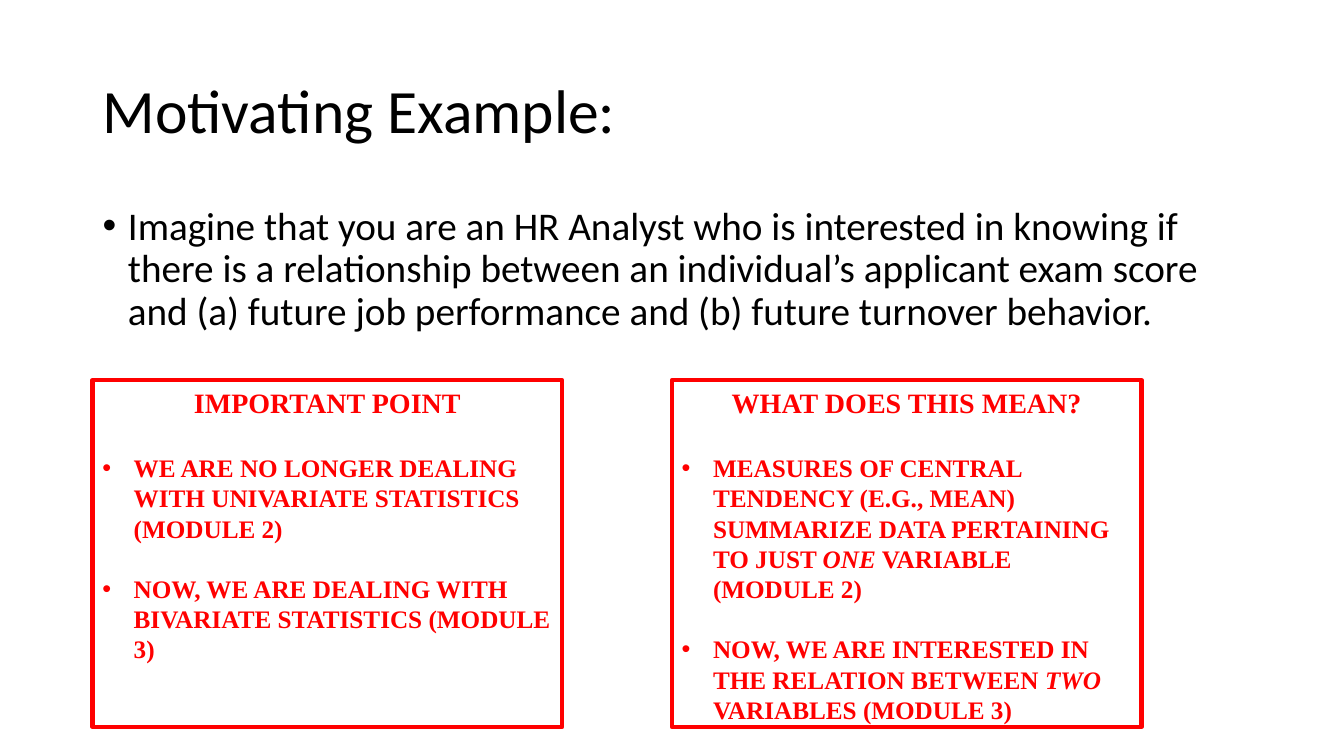
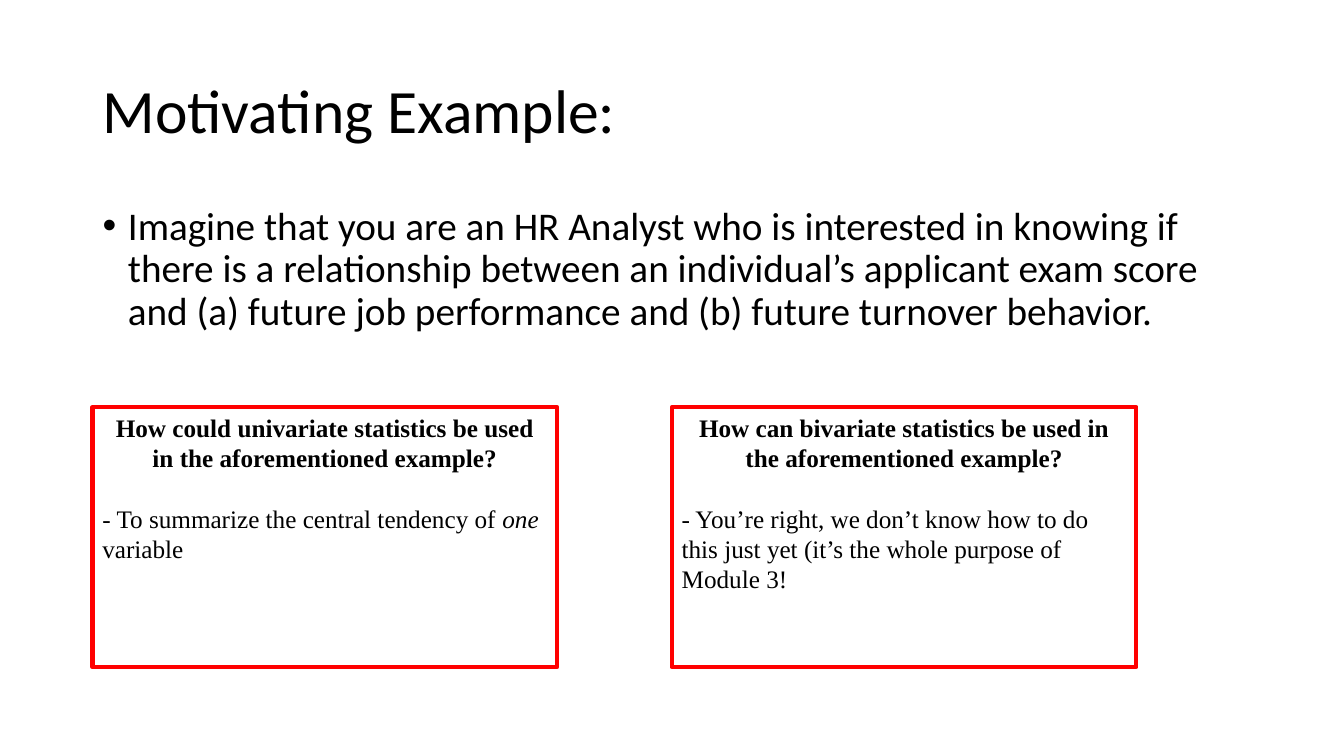
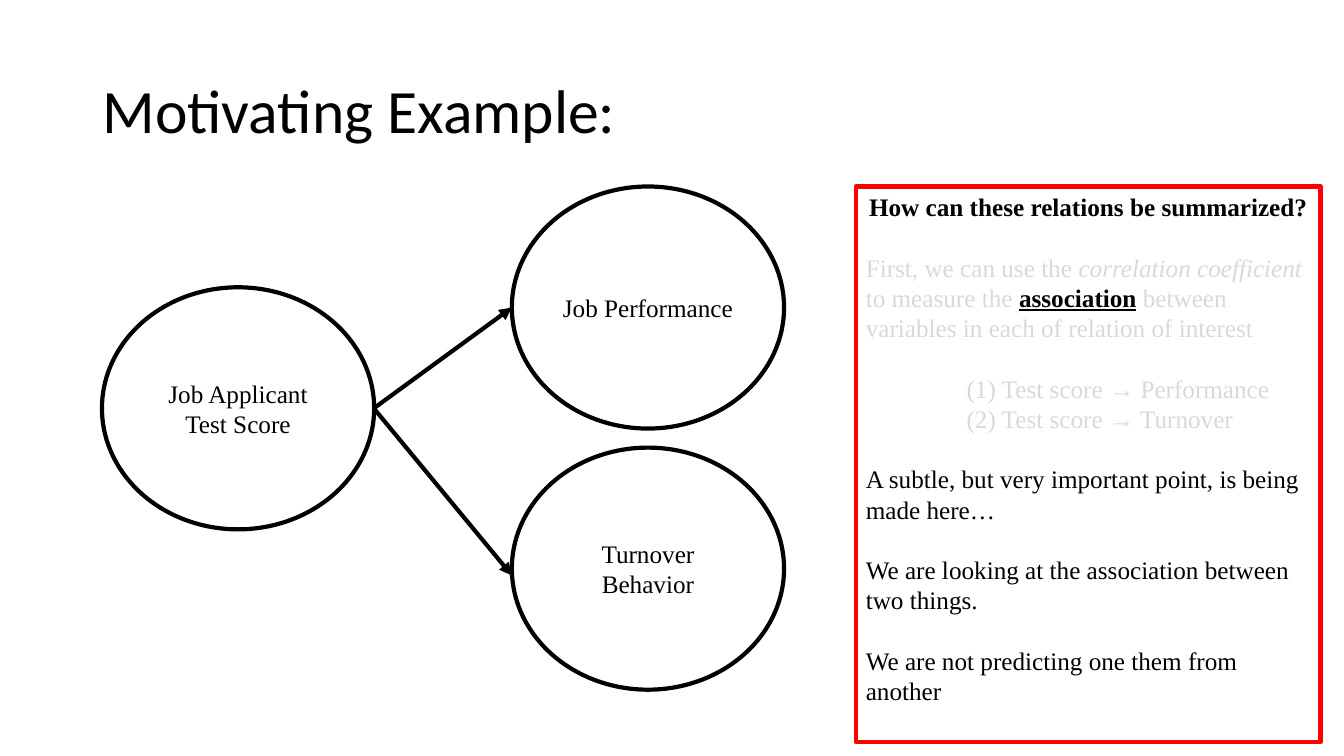
from dataclasses import dataclass

from lxml.etree import SubElement
from pptx import Presentation
from pptx.dml.color import RGBColor
from pptx.enum.shapes import MSO_CONNECTOR, MSO_SHAPE
from pptx.enum.text import MSO_ANCHOR as Anchor, MSO_AUTO_SIZE as AutoSize, PP_ALIGN as Align
from pptx.oxml.ns import qn
from pptx.util import Cm, Pt


@dataclass(frozen=True)
class Theme:
    """Colours, fonts and type sizes shared by all slides."""
    ink: RGBColor = RGBColor(0, 0, 0)
    alert: RGBColor = RGBColor(0xFF, 0, 0)
    muted: RGBColor = RGBColor(0xD9, 0xD9, 0xD9)
    heading_font: str = "Calibri"
    note_font: str = "Times New Roman"
    title_size: int = 44
    body_size: int = 28
    banner_size: int = 20
    note_size: int = 18
    outline: int = 3


THEME = Theme()


@dataclass(frozen=True)
class Span:
    """A stretch of text that differs from its paragraph."""
    text: str
    italic: bool = False
    strong: bool = False


@dataclass(frozen=True)
class Line:
    """One paragraph of a note box: strings and spans, with its format."""
    spans: tuple
    size: int = THEME.note_size
    color: RGBColor = THEME.ink
    bold: bool = False
    centred: bool = False
    bullet: bool = False
    gap: float = 0
    indent: float = 0


LINE_GAP = 21.6
BANNER_GAP = 24
LEFT_NOTE, RIGHT_NOTE = 2.33, 16.93
NOTE_WIDTH = 11.71
TITLE = "Motivating Example:"
SCENARIO = ("Imagine that you are an HR Analyst who is interested in knowing if there is a "
            "relationship between an individual’s applicant exam score and (a) future job "
            "performance and (b) future turnover behavior.")


def set_font(font, name, size, color, bold=False):
    """Set the typeface, size, colour and weight of a font."""
    font.name, font.size, font.bold = name, Pt(size), bold
    font.color.rgb = color


def set_indent(paragraph, left, first):
    """Set the left margin and first-line indent in centimetres."""
    properties = paragraph._p.get_or_add_pPr()
    properties.set("marL", str(Cm(left)))
    properties.set("indent", str(Cm(first)))
    return properties


def add_bullet(paragraph):
    """Give a paragraph a round bullet with a hanging indent."""
    properties = set_indent(paragraph, 0.79, -0.79)
    SubElement(properties, qn("a:buFont")).set("typeface", "Arial")
    SubElement(properties, qn("a:buChar")).set("char", "•")


def place(shape, left, top, width, height):
    """Move and size a shape in centimetres."""
    shape.left, shape.top = Cm(left), Cm(top)
    shape.width, shape.height = Cm(width), Cm(height)


def fill_placeholder(placeholder, text, size, box):
    """Write and format one paragraph in a template placeholder."""
    place(placeholder, *box)
    frame = placeholder.text_frame
    frame.text = text
    frame.auto_size = AutoSize.NONE
    paragraph = frame.paragraphs[0]
    paragraph.alignment = Align.LEFT
    paragraph.line_spacing = 0.9
    set_font(paragraph.font, THEME.heading_font, size, THEME.ink)
    return paragraph


def add_titled_slide(deck, layout_index):
    """Add a slide with the shared title."""
    slide = deck.slides.add_slide(deck.slide_layouts[layout_index])
    fill_placeholder(slide.shapes.title, TITLE, THEME.title_size, (2.33, 1.01, 29.21, 3.68))
    return slide


def add_scenario_slide(deck):
    """Add a titled slide with the scenario as its list."""
    slide = add_titled_slide(deck, 1)
    scenario = fill_placeholder(slide.placeholders[1], SCENARIO, THEME.body_size,
                                (2.33, 5.08, 29.21, 12.09))
    scenario.space_before = Pt(10)
    set_indent(scenario, 0.64, -0.64)
    return slide


def add_outline(slide, preset, color, box):
    """Add an unfilled outlined shape and return it."""
    left, top, width, height = map(Cm, box)
    shape = slide.shapes.add_shape(preset, left, top, width, height)
    shape.shadow.inherit = False
    shape.fill.background()
    shape.line.color.rgb = color
    shape.line.width = Pt(THEME.outline)
    shape.text_frame.word_wrap = True
    return shape


def write_line(paragraph, line):
    """Write a line's runs and format its paragraph."""
    paragraph.alignment = Align.CENTER if line.centred else Align.LEFT
    if line.bullet:
        add_bullet(paragraph)
    elif line.indent:
        set_indent(paragraph, line.indent, 0)
    paragraph.space_before = Pt(line.gap)
    set_font(paragraph.font, THEME.note_font, line.size, line.color, line.bold)
    for span in line.spans:
        run = paragraph.add_run()
        if isinstance(span, str):
            run.text = span
            continue
        run.text = span.text
        if span.italic:
            run.font.italic = True
        if span.strong:
            run.font.bold = run.font.underline = True
            run.font.color.rgb = THEME.ink


def add_note(slide, box, lines):
    """Add a red-framed note box holding the given lines."""
    frame = add_outline(slide, MSO_SHAPE.RECTANGLE, THEME.alert, box).text_frame
    frame.vertical_anchor = Anchor.TOP
    for index, line in enumerate(lines):
        write_line(frame.paragraphs[0] if index == 0 else frame.add_paragraph(), line)


def add_variable(slide, label, left, top):
    """Add an ellipse that names one variable."""
    ellipse = add_outline(slide, MSO_SHAPE.OVAL, THEME.ink, (left, top, 6.86, 6.1))
    ellipse.text_frame.vertical_anchor = Anchor.MIDDLE
    write_line(ellipse.text_frame.paragraphs[0], Line((label,), centred=True))


def add_arrow(slide, start, end):
    """Add a black arrow between two points in centimetres."""
    arrow = slide.shapes.add_connector(MSO_CONNECTOR.STRAIGHT, *map(Cm, start + end))
    arrow.line.color.rgb = THEME.ink
    arrow.line.width = Pt(THEME.outline)
    SubElement(arrow.line._get_or_add_ln(), qn("a:tailEnd")).set("type", "triangle")
    SubElement(arrow._element.spPr, qn("a:effectLst"))


def banner(text):
    """Return a red heading line."""
    return Line((text,), THEME.banner_size, THEME.alert, bold=True, centred=True)


def point(*spans, gap=LINE_GAP):
    """Return a red bulleted line."""
    return Line(spans, color=THEME.alert, bold=True, bullet=True, gap=gap)


def question(text):
    """Return a black heading line."""
    return Line((text,), bold=True, centred=True)


def answer(*spans, color=THEME.ink, gap=LINE_GAP, indent=0):
    """Return a plain line, set off from the line above."""
    return Line(spans, color=color, gap=gap, indent=indent)


def build_key_points(deck):
    """Build the slide on moving from one variable to two."""
    slide = add_scenario_slide(deck)
    notes = {
        LEFT_NOTE: [
            banner("IMPORTANT POINT"),
            point("WE ARE NO LONGER DEALING WITH UNIVARIATE STATISTICS (MODULE 2)",
                  gap=BANNER_GAP),
            point("NOW, WE ARE DEALING WITH BIVARIATE STATISTICS (MODULE 3)"),
        ],
        RIGHT_NOTE: [
            banner("WHAT DOES THIS MEAN?"),
            point("MEASURES OF CENTRAL TENDENCY (E.G., MEAN) SUMMARIZE DATA PERTAINING "
                  "TO JUST ", Span("ONE", italic=True), " VARIABLE (MODULE 2)",
                  gap=BANNER_GAP),
            point("NOW, WE ARE INTERESTED IN THE RELATION BETWEEN ",
                  Span("TWO", italic=True), " VARIABLES (MODULE 3)"),
        ],
    }
    for left, lines in notes.items():
        add_note(slide, (left, 9.58, 11.84, 8.74), lines)


def build_questions(deck):
    """Build the slide that asks how each kind of statistics is used."""
    slide = add_scenario_slide(deck)
    notes = {
        LEFT_NOTE: [
            question("How could univariate statistics be used in the aforementioned example?"),
            answer("- To summarize the central tendency of ", Span("one ", italic=True),
                   "variable"),
        ],
        RIGHT_NOTE: [
            question("How can bivariate statistics be used in the aforementioned example?"),
            answer("- You’re right, we don’t know how to do this just yet "
                   "(it’s the whole purpose of Module 3!"),
        ],
    }
    for left, lines in notes.items():
        add_note(slide, (left, 10.26, NOTE_WIDTH, 6.55), lines)


def build_relations(deck):
    """Build the diagram of the test score and its two outcomes."""
    slide = add_titled_slide(deck, 5)
    add_variable(slide, "Job Applicant Test Score", 2.57, 7.24)
    for outcome, top, arrow_end in (("Job Performance", 4.7, 7.75),
                                    ("Turnover Behavior", 11.28, 14.5)):
        add_arrow(slide, (9.42, 10.29), (12.9, arrow_end))
        add_variable(slide, outcome, 12.9, top)
    add_note(slide, (21.57, 4.7, NOTE_WIDTH, 14), [
        question("How can these relations be summarized?"),
        answer("First, we can use the ", Span("correlation coefficient", italic=True),
               " to measure the ", Span("association", strong=True),
               " between variables in each of relation of interest", color=THEME.muted),
        answer("(1) Test score → Performance", color=THEME.muted, indent=2.54),
        answer("(2) Test score → Turnover", color=THEME.muted, gap=0, indent=2.54),
        answer("A subtle, but very important point, is being made here…"),
        answer("We are looking at the association between two things."),
        answer("We are not predicting one them from another"),
    ])


def main():
    """Build the three slides and save them."""
    deck = Presentation()
    deck.slide_width, deck.slide_height = Cm(33.87), Cm(19.05)
    build_key_points(deck)
    build_questions(deck)
    build_relations(deck)
    deck.save("out.pptx")


main()
